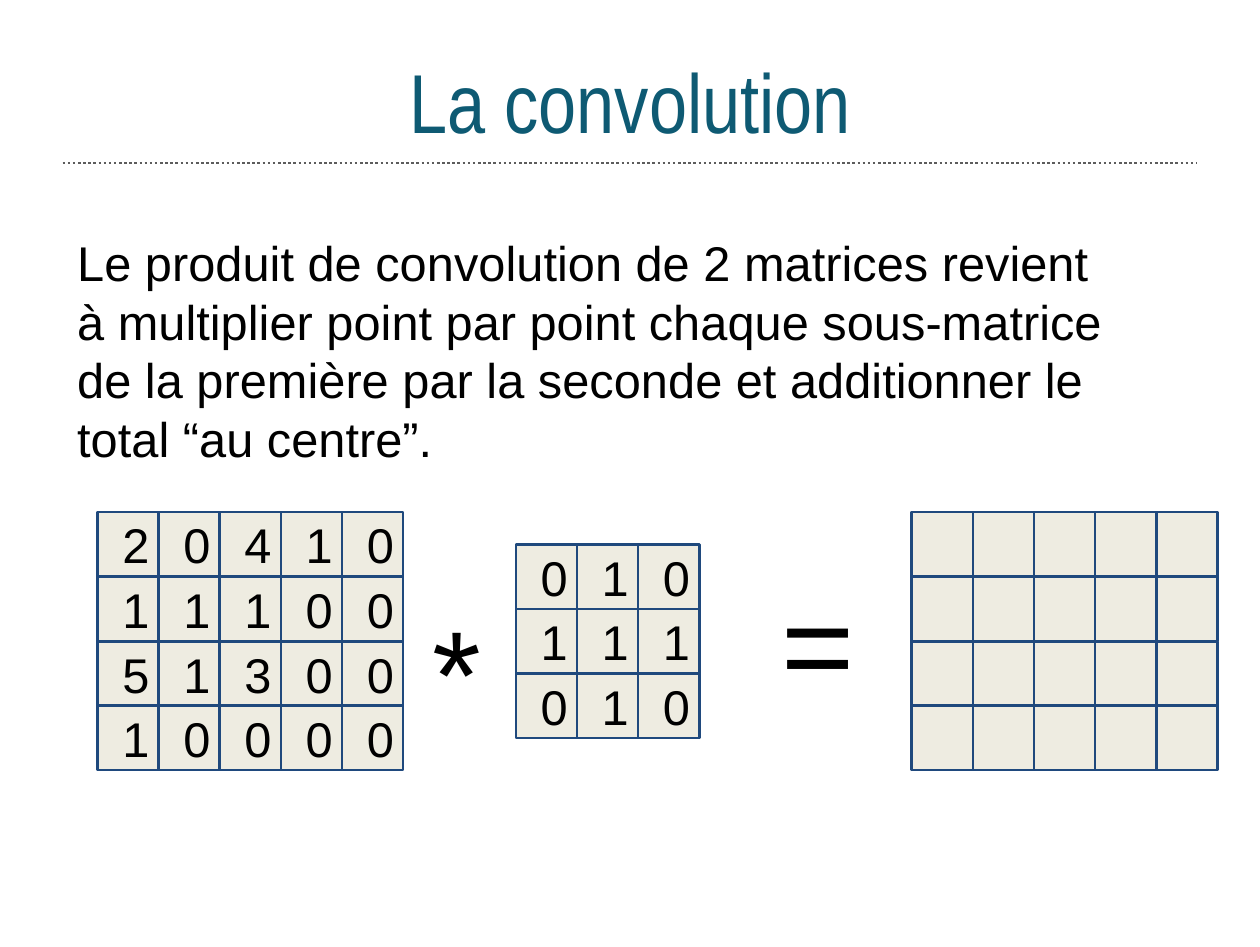
import pptx
import pptx.util
from pptx.dml.color import RGBColor
from pptx.enum.dml import MSO_LINE
from pptx.enum.shapes import MSO_CONNECTOR, MSO_SHAPE
from pptx.enum.text import MSO_ANCHOR, PP_ALIGN
from pptx.oxml.ns import qn
from lxml import etree

Inches, Pt = pptx.util.Inches, pptx.util.Pt

WIDTH, HEIGHT = 5.03, 3.78
COLORS = {"title": "0E5A73", "rule": "5C5C5C", "text": "000000",
          "cell": "EEECE1", "border": "1F497D"}

TITLE = "La convolution"
BODY = ("Le produit de convolution de 2 matrices revient à multiplier point par point "
        "chaque sous-matrice de la première par la seconde et additionner le total “au centre”.")

# Left edge and rows of each matrix; all share one middle line.
MATRICES = [
    (0.39, ["20410", "11100", "51300", "10000"]),
    (2.06, ["010", "111", "010"]),
    (3.64, ["     "] * 4),
]
MIDDLE = 2.56
CELL_WIDTH, CELL_HEIGHT = 1.22 / 5, 1.03 / 4

# Text, frame (left, top, width, height), size, anchor
TEXTS = [
    ("*", (1.63, 2.27, 0.41, 0.45), 36, MSO_ANCHOR.TOP),
    ("=", (3.02, 2.23, 0.78, 0.65), 36, MSO_ANCHOR.MIDDLE),
    (BODY, (0.21, 0.83, 4.38, 0.55), 14, MSO_ANCHOR.TOP),
]


def color(name):
    return RGBColor.from_string(COLORS[name])


def write(shape, text, size, anchor=MSO_ANCHOR.MIDDLE, font="Arial",
          tint="text", align=PP_ALIGN.LEFT, spacing=None):
    frame = shape.text_frame
    frame.text = text
    insets = {f"margin_{side}": Inches(0.1) for side in ("left", "top", "right", "bottom")}
    for name, value in {**insets, "word_wrap": True, "vertical_anchor": anchor}.items():
        setattr(frame, name, value)
    para = frame.paragraphs[0]
    para.alignment = align
    para.line_spacing = spacing
    for name, value in {"name": font, "size": Pt(size)}.items():
        setattr(para.font, name, value)
    para.font.color.rgb = color(tint)


def add_matrix(slide, left, rows):
    group = slide.shapes.add_group_shape()
    top = MIDDLE - len(rows) * CELL_HEIGHT / 2
    for i, row in enumerate(rows):
        for j, digit in enumerate(row):
            cell = group.shapes.add_shape(
                MSO_SHAPE.RECTANGLE,
                Inches(left + j * CELL_WIDTH), Inches(top + i * CELL_HEIGHT),
                Inches(CELL_WIDTH), Inches(CELL_HEIGHT))
            cell.shadow.inherit = False
            cell.fill.solid()
            cell.fill.fore_color.rgb = color("cell")
            cell.line.color.rgb = color("border")
            cell.line.width = Pt(0.75)
            if digit.strip():
                write(cell, digit, 14)


def add_rule(slide):
    margin, y = Inches(0.25), Inches(0.65)
    rule = slide.shapes.add_connector(
        MSO_CONNECTOR.STRAIGHT, margin, y, Inches(WIDTH) - margin, y)
    rule.line.color.rgb = color("rule")
    rule.line.width = Pt(0.75)
    rule.line.dash_style = MSO_LINE.ROUND_DOT
    etree.SubElement(rule._element.spPr, qn("a:effectLst"))


def main():
    deck = pptx.Presentation()
    deck.slide_width, deck.slide_height = Inches(WIDTH), Inches(HEIGHT)
    slide = deck.slides.add_slide(deck.slide_layouts.get_by_name("Title Only"))

    add_rule(slide)
    title = slide.shapes.title
    title.left, title.top, title.width, title.height = 0, 0, Inches(WIDTH), Inches(0.8)
    write(title, TITLE, 24, font="Arial Narrow", tint="title", align=PP_ALIGN.CENTER)

    for left, rows in MATRICES:
        add_matrix(slide, left, rows)
    for text, frame, size, anchor in TEXTS:
        box = slide.shapes.add_textbox(*map(Inches, frame))
        write(box, text, size, anchor, spacing=Pt(1.2 * size))

    deck.save("out.pptx")


if __name__ == "__main__":
    main()
